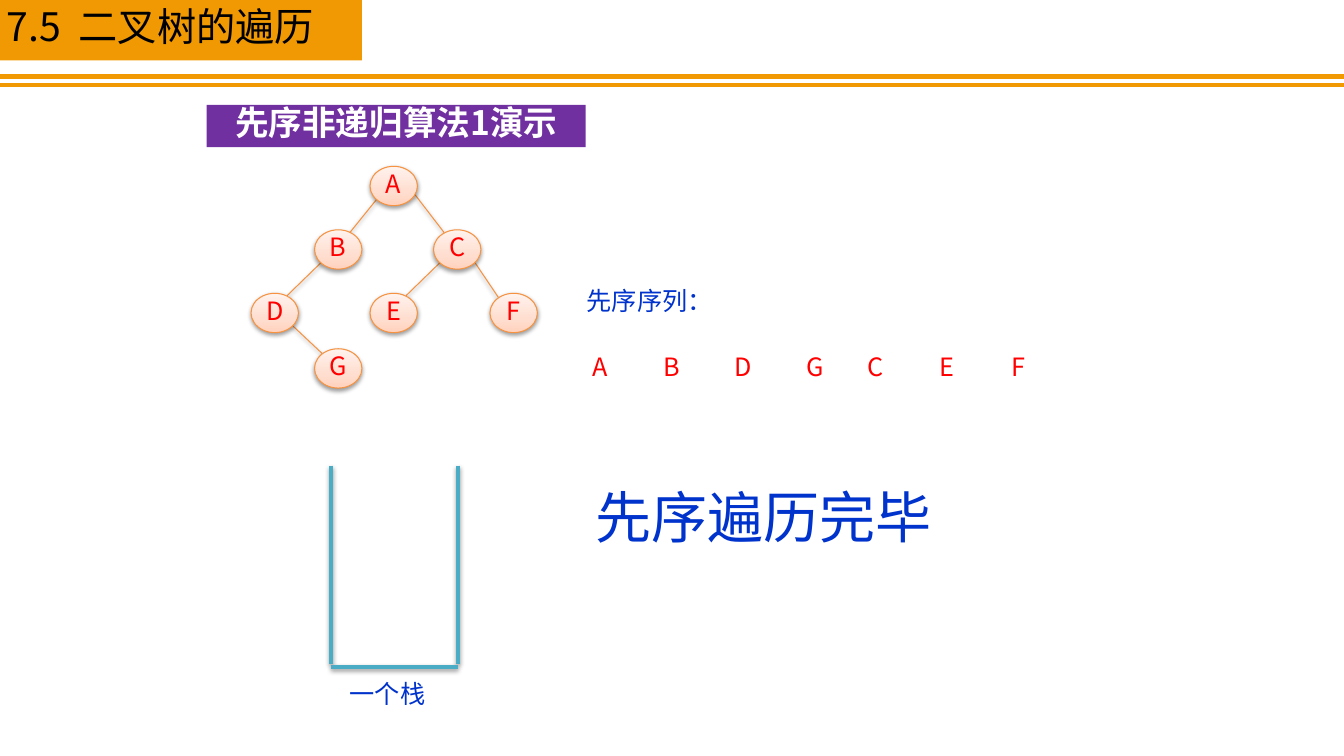
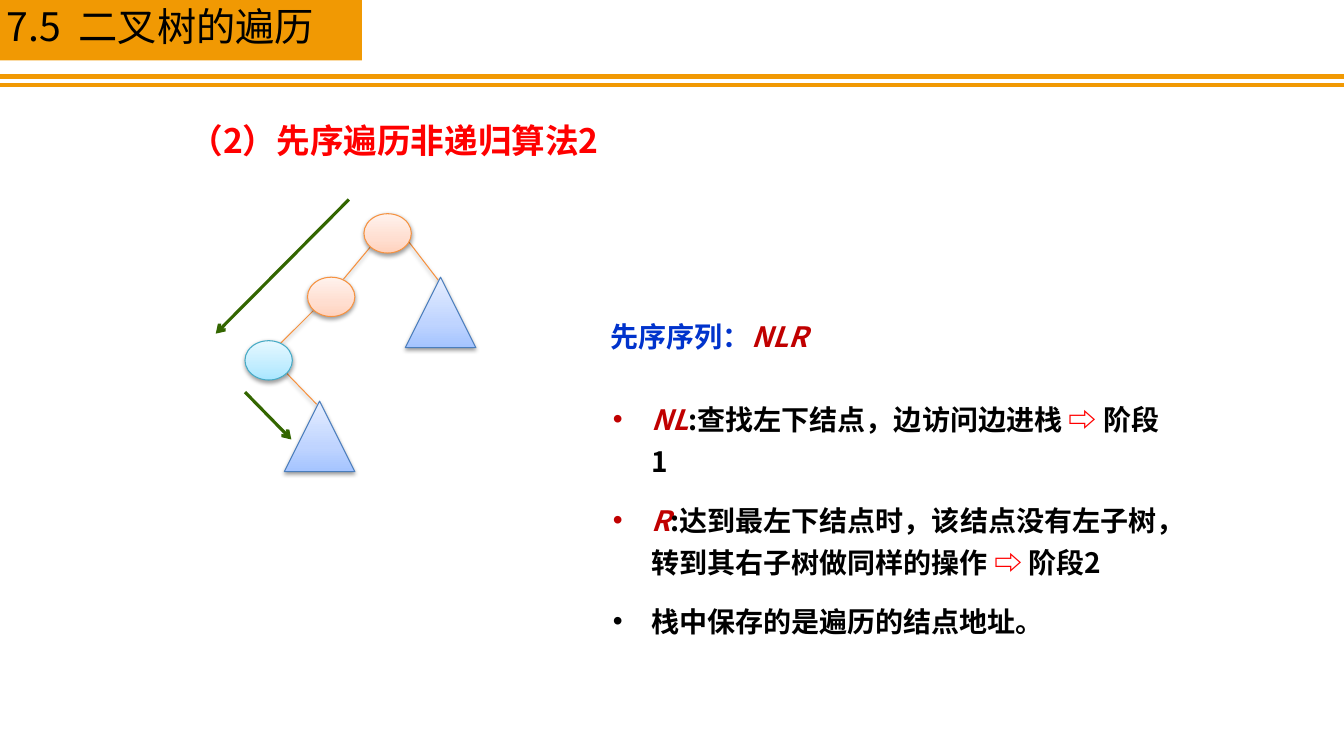
from pptx import Presentation
from pptx.dml.color import RGBColor
from pptx.enum.shapes import MSO_CONNECTOR, MSO_SHAPE
from pptx.enum.text import MSO_ANCHOR, PP_ALIGN
from pptx.oxml import parse_xml
from pptx.oxml.ns import nsdecls, qn
from pptx.util import Inches, Pt

RECT, OVAL, CONE = MSO_SHAPE.RECTANGLE, MSO_SHAPE.OVAL, MSO_SHAPE.ISOSCELES_TRIANGLE
LINE = MSO_CONNECTOR.STRAIGHT
LEFT, CENTER = PP_ALIGN.LEFT, PP_ALIGN.CENTER
TOP, MIDDLE = MSO_ANCHOR.TOP, MSO_ANCHOR.MIDDLE

FONT = "Noto Sans CJK SC"
AMBER, ORANGE, TEAL, GREEN = "F19903", "F69240", "4BACC6", "336600"
RED, CRIMSON, BLUE, PURPLE = "FF0000", "C00000", "0033CC", "7030A0"
BLACK, WHITE = "000000", "FFFFFF"

# Gradient from bottom to top, then the outline
PEACH = ("FFD2BD", "FFDED0", "FFF2ED", ORANGE)
AQUA = ("A7E6FF", "C1EDFF", "E7F8FF", "46AAC5")
SKY = ("A4C4FF", "BFD4FF", "E6EEFF", "4B7EBC")

NODE_W, NODE_H, CONE_W = 0.47, 0.39, 0.7
# Where a branch leaves its parent and meets its child
ENDS = {
    "left": ((0.08, 0.31), (0.34, 0.04)),
    "right": ((0.4, 0.31), (0.11, 0.08)),
    "wide": ((0.43, 0.26), (0.13, 0.06)),
    "cone": ((0.4, 0.31), (0.32, 0.03)),
    "wide cone": ((0.43, 0.26), (0.35, 0.06)),
}


def rgb(code):
    return RGBColor.from_string(code)


def xml(tag, inner="", attrs=""):
    return parse_xml(f"<a:{tag} {nsdecls('a')} {attrs}>{inner}</a:{tag}>")


def shade(item, on=True):
    """Give a shape or connector the soft shadow, or none."""
    soft = ('<a:outerShdw blurRad="40000" dist="20000" dir="5400000" rotWithShape="0">'
            '<a:srgbClr val="000000"><a:alpha val="38000"/></a:srgbClr></a:outerShdw>')
    item.element.spPr.append(xml("effectLst", soft if on else ""))


def line(slide, start, end, color, width, shadow=False, arrow=False):
    link = slide.shapes.add_connector(LINE, *map(Inches, (*start, *end)))
    link.line.color.rgb = rgb(color)
    link.line.width = Pt(width)
    if arrow:
        link.element.spPr.find(qn("a:ln")).append(xml("tailEnd", attrs='type="arrow"'))
    shade(link, shadow)


def block(slide, box, color):
    """Plain filled rectangle."""
    shape = slide.shapes.add_shape(RECT, *map(Inches, box))
    shape.fill.solid()
    shape.fill.fore_color.rgb = rgb(color)
    shape.line.fill.background()
    shape.shadow.inherit = False
    return shape


def blob(slide, kind, box, tint):
    """Gradient shape with a thin outline and a shadow."""
    shape = slide.shapes.add_shape(kind, *map(Inches, box))
    shape.line.color.rgb = rgb(tint[3])
    shape.line.width = Pt(0.75)
    stops = "".join(f'<a:gs pos="{pos}"><a:srgbClr val="{code}"/></a:gs>'
                    for pos, code in zip((0, 35000, 100000), tint))
    grad = xml("gradFill", f'<a:gsLst>{stops}</a:gsLst><a:lin ang="16200000" scaled="0"/>',
               'rotWithShape="1"')
    shape.element.spPr.find(qn("a:prstGeom")).addnext(grad)
    shade(shape)
    return shape


def write(shape, *paras, size=18, color=BLACK, bold=False, align=LEFT, anchor=TOP,
          wrap=True, inset=(0.1, 0.05, 0.1, 0.05), space=0.8, before=0, bullet=False):
    """Fill a shape; each paragraph is a list of (text, color, italic) or a string."""
    frame = shape.text_frame
    frame.word_wrap, frame.vertical_anchor = wrap, anchor
    (frame.margin_left, frame.margin_top,
     frame.margin_right, frame.margin_bottom) = map(Inches, inset)
    for i, runs in enumerate(paras):
        para = frame.add_paragraph() if i else frame.paragraphs[0]
        if bullet:
            props = para._p.get_or_add_pPr()
            props.set("marL", str(Inches(0.38)))
            props.set("indent", str(-Inches(0.38)))
            props.append(xml("buFont", attrs='typeface="Arial"'))
            props.append(xml("buChar", attrs='char="•"'))
        para.alignment, para.line_spacing = align, space
        if i:
            para.space_before = Pt(before)
        for words, ink, slant in [(runs, color, False)] if isinstance(runs, str) else runs:
            run = para.add_run()
            run.text = words
            font = run.font
            font.name, font.size, font.bold, font.italic = FONT, Pt(size), bold, slant
            font.color.rgb = rgb(ink)
            font._element.append(xml("ea", attrs=f'typeface="{FONT}"'))


def text(slide, box, *paras, **style):
    write(slide.shapes.add_textbox(*map(Inches, box)), *paras, **style)


def header(slide):
    """Section band and the double rule below it."""
    block(slide, (-0.03, 0, 3.62, 0.6), AMBER)
    text(slide, (-0.03, 0.06, 3.38, 0.48), "7.5  二叉树的遍历", size=28)
    for y in (0.76, 0.84):
        line(slide, (0, y), (13.33, y), AMBER, 3)


def tree(slide, left, top, nodes, links):
    """Branches first, then nodes over their ends."""
    def point(name, shift):
        return left + nodes[name][0] + shift[0], top + nodes[name][1] + shift[1]

    for up, down, side in links:
        start, end = ENDS[side]
        line(slide, point(up, start), point(down, end), ORANGE, 0.75, shadow=True)
    for name, (_, _, kind, tint, label) in nodes.items():
        size = (NODE_W, NODE_H) if kind == OVAL else (CONE_W, CONE_W)
        node = blob(slide, kind, (*point(name, (0, 0)), *size), tint)
        if label:
            write(node, name, color=RED, align=CENTER, anchor=MIDDLE, wrap=False)


def stack(slide, left, top, width, height):
    """Open box with its caption."""
    right, floor = left + width, top + height
    for x in (left, right):
        line(slide, (x, top), (x, floor - 0.03), TEAL, 3, shadow=True)
    line(slide, (left, floor), (right, floor), TEAL, 3, shadow=True)
    text(slide, (left + 0.09, floor + 0.12, width, 0.34), "一个栈", color=BLUE)


def visits(slide, left, top):
    """Visiting order, the left and right parts of the tree set apart."""
    text(slide, (left, top, 1.89, 0.34), "先序序列：", color=BLUE)
    for shift, names in ((0, "ABDG"), (2.73, "CEF")):
        for i, name in enumerate(names):
            text(slide, (left + shift + i * 0.71, top + 0.7, NODE_W, 0.24), name,
                 color=RED, align=CENTER, inset=(0, 0, 0, 0))


def demo(slide):
    header(slide)
    spots = {"A": (1.18, 0), "B": (0.63, 0.63), "C": (1.81, 0.63), "D": (0, 1.26),
             "E": (1.18, 1.26), "F": (2.37, 1.26), "G": (0.63, 1.81)}
    nodes = {name: (*spot, OVAL, PEACH, True) for name, spot in spots.items()}
    tree(slide, 2.49, 1.65, nodes,
         [("A", "B", "left"), ("A", "C", "wide"), ("B", "D", "left"),
          ("C", "E", "left"), ("C", "F", "right"), ("D", "G", "right")])
    stack(slide, 3.28, 4.62, 1.26, 2)
    visits(slide, 5.72, 2.84)
    text(slide, (5.81, 4.87, 3.77, 0.64), "先序遍历完毕", size=40, color=BLUE)
    write(block(slide, (2.05, 1.04, 3.76, 0.42), PURPLE), "先序非递归算法1演示",
          size=24, color=WHITE, bold=True, align=CENTER)


def notes(slide, left, top):
    """Order of visits and the two stages."""
    text(slide, (left + 0.08, top, 2.34, 0.37),
         [("先序序列：", BLUE, False), ("NLR", CRIMSON, True)], size=20, bold=True)
    arrow = ("⇨", RED, False)
    write(block(slide, (left, top + 0.6, 5.86, 2.68), WHITE),
          [("NL", CRIMSON, True), (":查找左下结点，边访问边进栈 ", BLACK, False),
           arrow, (" 阶段1", BLACK, False)],
          [("R", CRIMSON, True),
           (":达到最左下结点时，该结点没有左子树，转到其右子树做同样的操作 ", BLACK, False),
           arrow, (" 阶段2", BLACK, False)],
          "栈中保存的是遍历的结点地址。",
          size=20, bold=True, inset=(0.2, 0.12, 0.1, 0.12), space=Pt(30), before=12,
          bullet=True)


def method(slide):
    header(slide)
    text(slide, (1.78, 1.22, 4.65, 0.42), "（2）先序遍历非递归算法2",
         size=24, color=RED, bold=True)
    nodes = {"root": (1.18, 0, OVAL, PEACH, False),
             "mid": (0.62, 0.63, OVAL, PEACH, False),
             "last": (0, 1.26, OVAL, AQUA, False),
             "low": (0.39, 1.86, CONE, SKY, False),
             "high": (1.59, 0.63, CONE, SKY, False)}
    tree(slide, 2.43, 2.12, nodes,
         [("root", "mid", "left"), ("root", "high", "wide cone"),
          ("mid", "last", "left"), ("last", "low", "cone")])
    # Walk down the left side, then turn right
    line(slide, (3.46, 1.98), (2.14, 3.31), GREEN, 2.25, arrow=True)
    line(slide, (2.43, 3.89), (2.89, 4.36), GREEN, 2.25, arrow=True)
    notes(slide, 5.88, 3.19)


def main():
    deck = Presentation()
    deck.slide_width, deck.slide_height = Inches(13.33), Inches(7.5)
    for build in (demo, method):
        build(deck.slides.add_slide(deck.slide_layouts[6]))
    deck.save("out.pptx")


if __name__ == "__main__":
    main()
